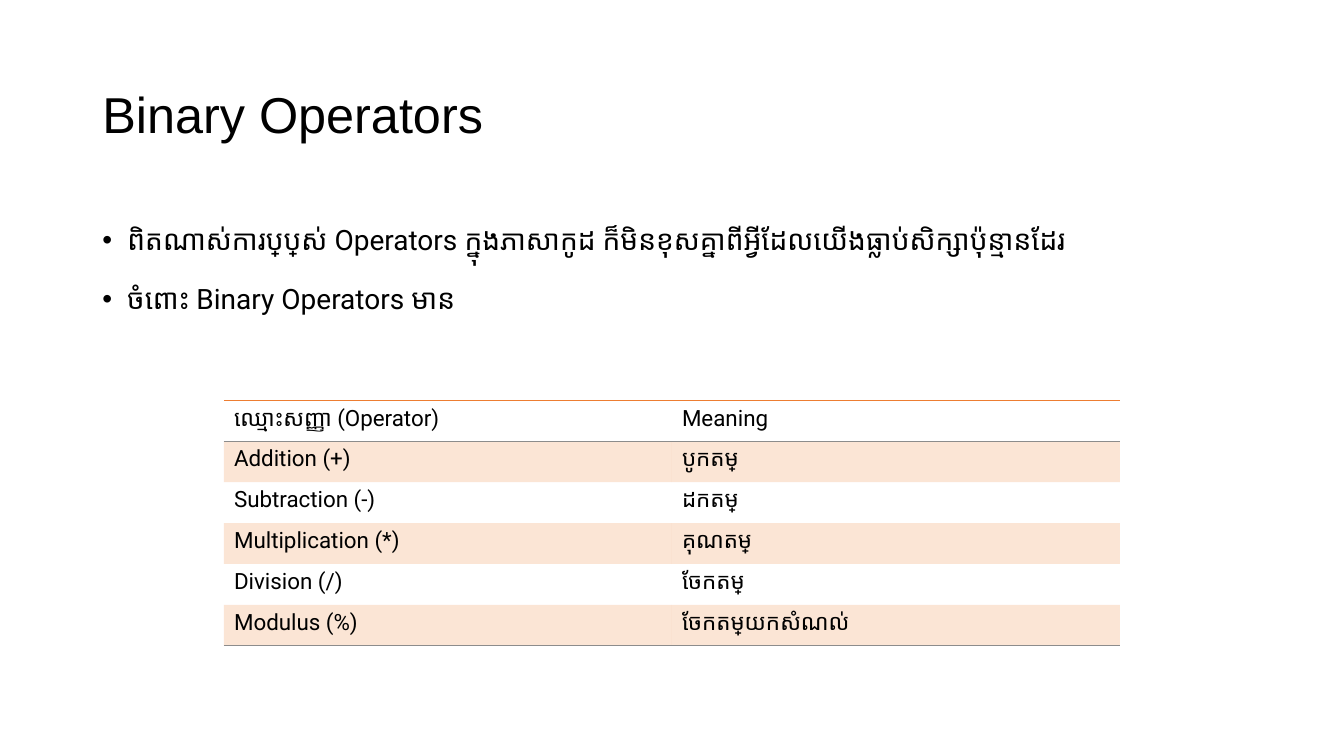
import pptx
import pptx.dml.color
import pptx.enum.text
import pptx.oxml
import pptx.oxml.ns
import pptx.util
import lxml.etree

Pt = pptx.util.Pt
ENUM = pptx.enum.text
HUES = {"ink": "000000", "band": "ED7D31", "rule": "8C8C8C"}
PLAIN = "{2D5ABB26-0587-4C30-8999-92F81FD0307C}"


def add(node, tag, **attrs):
    """Append a drawing element and return it."""
    child = lxml.etree.SubElement(node, pptx.oxml.ns.qn("a:" + tag))
    for key, value in attrs.items():
        child.set(key, str(value))
    return child


class Deck:
    def __init__(self, wide, high):
        self.show = pptx.Presentation()
        self.show.slide_width, self.show.slide_height = Pt(wide), Pt(high)
        self.page = self.show.slides.add_slide(self.show.slide_layouts[6])

    def style(self, para, size, face):
        for run in para.runs:
            run.font.size, run.font.name = Pt(size), face
            run.font.color.rgb = pptx.dml.color.RGBColor.from_string(HUES["ink"])
            add(run.font._element, "cs", typeface=face)

    def text(self, box, words, size, face, anchor=ENUM.MSO_ANCHOR.TOP):
        frame = self.page.shapes.add_textbox(*map(Pt, box)).text_frame
        frame.word_wrap, frame.vertical_anchor = True, anchor
        frame.text = words
        for para in frame.paragraphs:
            self.style(para, size, face)
        return frame

    def list(self, box, lines, size, face):
        frame = self.text(box, "\n".join(lines), size, face)
        for para in frame.paragraphs:
            para.alignment = ENUM.PP_ALIGN.JUSTIFY
            para.line_spacing, para.space_before = 1.5, Pt(6)
            props = para._p.get_or_add_pPr()
            props.set("marL", str(Pt(18)))
            props.set("indent", str(-Pt(18)))
            add(props, "buFont", typeface="Arial")
            add(props, "buChar", char="•")

    def edge(self, cell, side, hue):
        line = add(cell._tc.get_or_add_tcPr(), side, w=Pt(1))
        add(add(line, "solidFill"), "srgbClr", val=HUES[hue])

    def table(self, box, rows, size, face):
        grid = self.page.shapes.add_table(len(rows), len(rows[0]), *map(Pt, box)).table
        grid._tbl.tblPr.find(pptx.oxml.ns.qn("a:tableStyleId")).text = PLAIN
        grid.first_row = grid.horz_banding = False
        last = len(rows) - 1
        for r, row in enumerate(rows):
            for c, words in enumerate(row):
                cell = grid.cell(r, c)
                cell.text = words
                self.style(cell.text_frame.paragraphs[0], size, face)
                # Rules around the heading and under the last row
                if r == 0:
                    self.edge(cell, "lnT", "band")
                if r in (0, last):
                    self.edge(cell, "lnB", "rule")
                # Every second row is tinted
                if r % 2:
                    cell.fill.solid()
                    cell.fill.fore_color.rgb = pptx.dml.color.RGBColor.from_string(HUES["band"])
                    tint = cell._tc.tcPr.find(pptx.oxml.ns.qn("a:solidFill"))[0]
                    add(tint, "alpha", val=20000)
                else:
                    cell.fill.background()


deck = Deck(960, 540)

# Title
deck.text((66, 28.75, 828, 104.4), "Binary Operators", 36, "Arial", ENUM.MSO_ANCHOR.MIDDLE)

# Bullets
deck.list((66, 143.75, 828, 342.6), [
    "ពិតណាស់ការប្រើប្រាស់ Operators ក្នុងភាសាកូដ ក៏មិនខុសគ្នាពីអ្វីដែលយើងធ្លាប់សិក្សាប៉ុន្មានដែរ",
    "ចំពោះ Binary Operators មាន",
], 20, "Roboto")

# Operator table
deck.table((160, 286, 640, 175.2), [
    ("ឈ្មោះសញ្ញា (Operator)", "Meaning"),
    ("Addition (+)", "បូកតម្លៃ"),
    ("Subtraction (-)", "ដកតម្លៃ"),
    ("Multiplication (*)", "គុណតម្លៃ"),
    ("Division (/)", "ចែកតម្លៃ"),
    ("Modulus (%)", "ចែកតម្លៃយកសំណល់"),
], 16, "Roboto")

deck.show.save("out.pptx")
